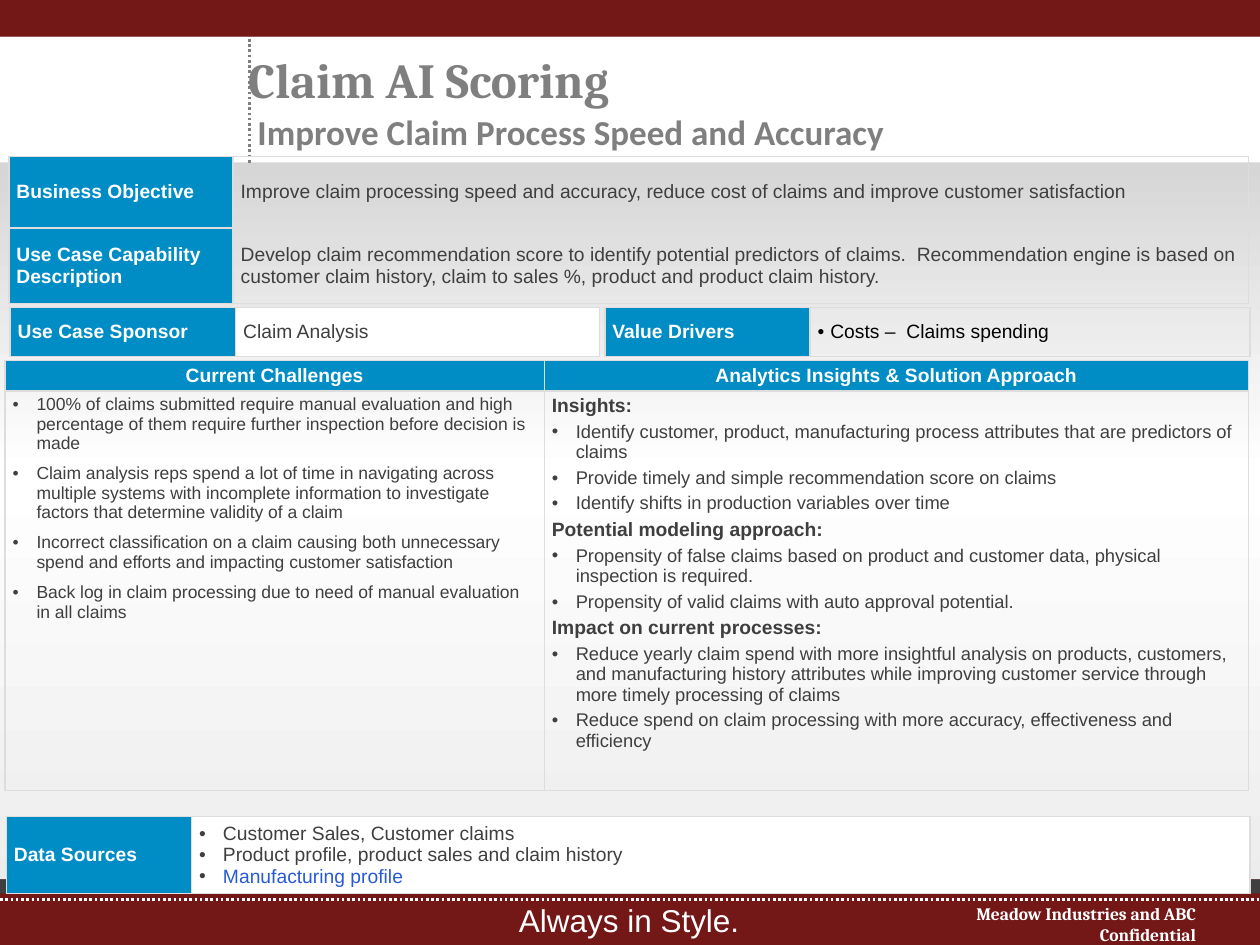
from lxml import etree
from pptx import Presentation
from pptx.dml.color import RGBColor
from pptx.enum.dml import MSO_LINE
from pptx.enum.shapes import MSO_CONNECTOR, MSO_SHAPE
from pptx.enum.text import MSO_ANCHOR, PP_ALIGN
from pptx.oxml import parse_xml
from pptx.oxml.ns import qn
from pptx.util import Inches, Pt

RECT, STRAIGHT, DOT = MSO_SHAPE.RECTANGLE, MSO_CONNECTOR.STRAIGHT, MSO_LINE.ROUND_DOT
LEFT, CENTER, RIGHT = PP_ALIGN.LEFT, PP_ALIGN.CENTER, PP_ALIGN.RIGHT
TOP, MIDDLE, BOTTOM = MSO_ANCHOR.TOP, MSO_ANCHOR.MIDDLE, MSO_ANCHOR.BOTTOM
NS = ('xmlns:a="http://schemas.openxmlformats.org/drawingml/2006/main" '
      'xmlns:p="http://schemas.openxmlformats.org/presentationml/2006/main"')
C = {"maroon": "731717", "dark": "3F3F3F", "white": "FFFFFF", "grey": "7F7F7F",
     "blue": "008CC4", "border": "DDDDDD", "black": "000000", "link": "275AD5"}
STOPS = [(0, "BFBFBF"), (50, "FFFFFF"), (100, "EAEAEA")]


def unit(n):
    """Length of n cells in a grid of 100 columns by 75 rows."""
    return Inches(n / 10)


def rgb(name):
    """Colour from the palette."""
    return RGBColor.from_string(C[name])


def label(text, align=LEFT):
    """Table cell with a white bold heading on blue."""
    return {"paras": [dict(text=text, color="white", bold=True, align=align)], "fill": "blue"}


def body(*paras, fill=None, anchor=MIDDLE):
    """Table cell holding plain paragraphs."""
    return {"paras": paras, "fill": fill, "anchor": anchor}


def bullet(text, **style):
    """Bulleted paragraph."""
    return dict(dict(text=text, indent=0.19), **style)


class Slide:
    """Style and drawing methods for the current slide."""

    def __init__(self, prs):
        """Add a title-only slide."""
        self.s = prs.slides.add_slide(prs.slide_layouts[5])

    def background(self, stops):
        """Fill the background with a vertical gradient."""
        gs = "".join(f'<a:gs pos="{pos * 1000}"><a:srgbClr val="{c}"/></a:gs>' for pos, c in stops)
        self.s.element.cSld.insert(0, parse_xml(
            f'<p:bg {NS}><p:bgPr><a:gradFill rotWithShape="1"><a:gsLst>{gs}</a:gsLst>'
            '<a:lin ang="5400000" scaled="0"/></a:gradFill><a:effectLst/></p:bgPr></p:bg>'))

    def bar(self, x, y, w, h, color):
        """Draw a plain rectangle."""
        sp = self.s.shapes.add_shape(RECT, unit(x), unit(y), unit(w), unit(h))
        sp.shadow.inherit = False
        sp.fill.solid()
        sp.fill.fore_color.rgb = rgb(color)
        sp.line.fill.background()

    def dots(self, x1, y1, x2, y2, color):
        """Draw a dotted line."""
        ln = self.s.shapes.add_connector(STRAIGHT, unit(x1), unit(y1), unit(x2), unit(y2))
        ln.line.color.rgb = rgb(color)
        ln.line.width = Pt(1.5)
        ln.line.dash_style = DOT
        etree.SubElement(ln._element.spPr, qn("a:effectLst"))

    def run(self, p, text, size=11, color="dark", bold=False, font="Arial"):
        """Add one formatted run."""
        r = p.add_run()
        r.text = text
        r.font.name, r.font.size, r.font.bold = font, Pt(size), bold
        r.font.color.rgb = rgb(color)

    def para(self, p, text, align=LEFT, before=0, indent=0, **style):
        """Fill one paragraph, bulleted when indented."""
        p.alignment, p.space_before = align, Pt(before)
        if indent:
            pPr = p._p.get_or_add_pPr()
            pPr.set("marL", str(Inches(indent)))
            pPr.set("indent", str(-Inches(indent)))
            clr = etree.SubElement(pPr, qn("a:buClr"))
            etree.SubElement(clr, qn("a:srgbClr")).set("val", C[style.get("bullet", "dark")])
            etree.SubElement(pPr, qn("a:buFont")).set("typeface", "Arial")
            etree.SubElement(pPr, qn("a:buChar")).set("char", "•")
        style.pop("bullet", None)
        self.run(p, text, **style)

    def text(self, x, y, w, h, text, wrap=True, **style):
        """Add a text box."""
        tf = self.s.shapes.add_textbox(unit(x), unit(y), unit(w), unit(h)).text_frame
        tf.word_wrap = wrap
        self.para(tf.paragraphs[0], text, **style)

    def title(self, x, y, w, h, head, sub):
        """Place the title with its subtitle in front of the bands."""
        sp = self.s.shapes.title
        sp.left, sp.top, sp.width, sp.height = unit(x), unit(y), unit(w), unit(h)
        self.s.shapes._spTree.append(sp._element)
        tf = sp.text_frame
        tf.margin_left = tf.margin_right = tf.margin_top = tf.margin_bottom = 0
        tf.vertical_anchor, tf.word_wrap = BOTTOM, True
        p = tf.paragraphs[0]
        p.alignment, p.line_spacing = LEFT, Pt(26)
        self.run(p, head, 28, "grey", True, "Cambria")
        p.add_line_break()
        self.run(p, " ", 24, "grey", False, "Cambria")
        self.run(p, sub, 20, "grey", True, "Calibri")

    def cell(self, cell, paras, fill=None, anchor=MIDDLE):
        """Format and fill one table cell."""
        tcPr = cell._tc.get_or_add_tcPr()
        for side in "LRTB":
            tcPr.append(parse_xml(
                f'<a:ln{side} {NS} w="12700"><a:solidFill><a:srgbClr val="{C["border"]}"/>'
                f'</a:solidFill></a:ln{side}>'))
        if fill:
            cell.fill.solid()
            cell.fill.fore_color.rgb = rgb(fill)
        else:
            cell.fill.background()
        cell.margin_left = cell.margin_right = Inches(0.06)
        cell.margin_top = cell.margin_bottom = Inches(0.03)
        cell.vertical_anchor = anchor
        tf = cell.text_frame
        for i, para in enumerate(paras):
            self.para(tf.add_paragraph() if i else tf.paragraphs[0], **para)

    def table(self, x, y, cols, rows, cells):
        """Add a table with the given column widths and row heights."""
        tbl = self.s.shapes.add_table(len(rows), len(cols), unit(x), unit(y),
                                      unit(sum(cols)), unit(sum(rows))).table
        tbl.first_row = tbl.horz_banding = False
        for col, w in zip(tbl.columns, cols):
            col.width = unit(w)
        for row, h, contents in zip(tbl.rows, rows, cells):
            row.height = unit(h)
            for cell, content in zip(row.cells, contents):
                self.cell(cell, **content)


CHALLENGES = [
    "100% of claims submitted require manual evaluation and high percentage of them require further inspection before decision is made",
    "Claim analysis reps spend a lot of time in navigating across multiple systems with incomplete information to investigate factors that determine validity of a claim",
    "Incorrect classification on a claim causing both unnecessary spend and efforts and impacting customer satisfaction",
    "Back log in claim processing due to need of manual evaluation in all claims"]
APPROACH = {
    "Insights:": [
        "Identify customer, product, manufacturing process attributes that are predictors of claims",
        "Provide timely and simple recommendation score on claims",
        "Identify shifts in production variables over time"],
    "Potential modeling approach:": [
        "Propensity of false claims based on product and customer data, physical inspection is required.",
        "Propensity of valid claims with auto approval potential."],
    "Impact on current processes:": [
        "Reduce yearly claim spend with more insightful analysis on products, customers, and manufacturing history attributes while improving customer service through more timely processing of claims",
        "Reduce spend on claim processing with more accuracy, effectiveness and efficiency"]}


def main():
    """Build the slide."""
    prs = Presentation()
    prs.slide_width, prs.slide_height = unit(100), unit(75)
    s = Slide(prs)
    s.background(STOPS)
    s.bar(0, 69.8, 100, 5.2, "maroon")
    s.dots(0, 71.4, 100, 71.4, "white")
    s.bar(0, 69.8, 100, 1.1, "dark")
    s.bar(0, 2.9, 100, 10, "white")
    s.dots(19.8, 12.9, 19.8, 2.6, "grey")
    s.bar(0, 0, 100, 2.9, "maroon")
    s.text(40.2, 71, 19.7, 4, "Always in Style.", wrap=False, size=18, color="white")
    s.title(19.7, 3.6, 75.8, 8.6, "Claim AI Scoring", "Improve Claim Process Speed and Accuracy")
    s.text(70.5, 71.2, 25.4, 3.2, "Meadow Industries and ABC Confidential", align=RIGHT,
           size=10, color="white", bold=True, font="Cambria")

    approach = []
    for head, points in APPROACH.items():
        approach.append(dict(text=head, bold=True, before=3))
        approach += [bullet(t, size=10.5, before=3) for t in points]
    s.table(0.4, 28.6, [42.8, 55.9], [2.4, 31.7], [
        [label("Current Challenges", CENTER), label("Analytics Insights & Solution Approach", CENTER)],
        [body(*[bullet(t, size=10, before=6) for t in CHALLENGES], anchor=TOP),
         body(*approach, anchor=TOP)]])
    s.table(0.7, 12.4, [17.8, 80.6], [5.7, 6], [
        [label("Business Objective"), body(dict(
            text="Improve claim processing speed and accuracy, reduce cost of claims and improve customer satisfaction"))],
        [label("Use Case Capability Description"), body(dict(
            text="Develop claim recommendation score to identify potential predictors of claims.  Recommendation engine is based on customer claim history, claim to sales %, product and product claim history."))]])
    s.table(48, 24.4, [16.3, 34.9], [3.9], [[label("Value Drivers"), body(
        bullet("Costs –  Claims spending", indent=0.1, color="black", bullet="black"))]])
    s.table(0.8, 24.4, [17.9, 28.9], [3.9], [[
        label("Use Case Sponsor"), body(dict(text="Claim Analysis"), fill="white")]])
    s.table(0.5, 64.8, [14.7, 84], [5.8], [[label("Data Sources"), body(
        bullet("Customer Sales, Customer claims"),
        bullet("Product profile, product sales and claim history"),
        bullet("Manufacturing profile", color="link"), fill="white")]])
    prs.save("out.pptx")


if __name__ == "__main__":
    main()
